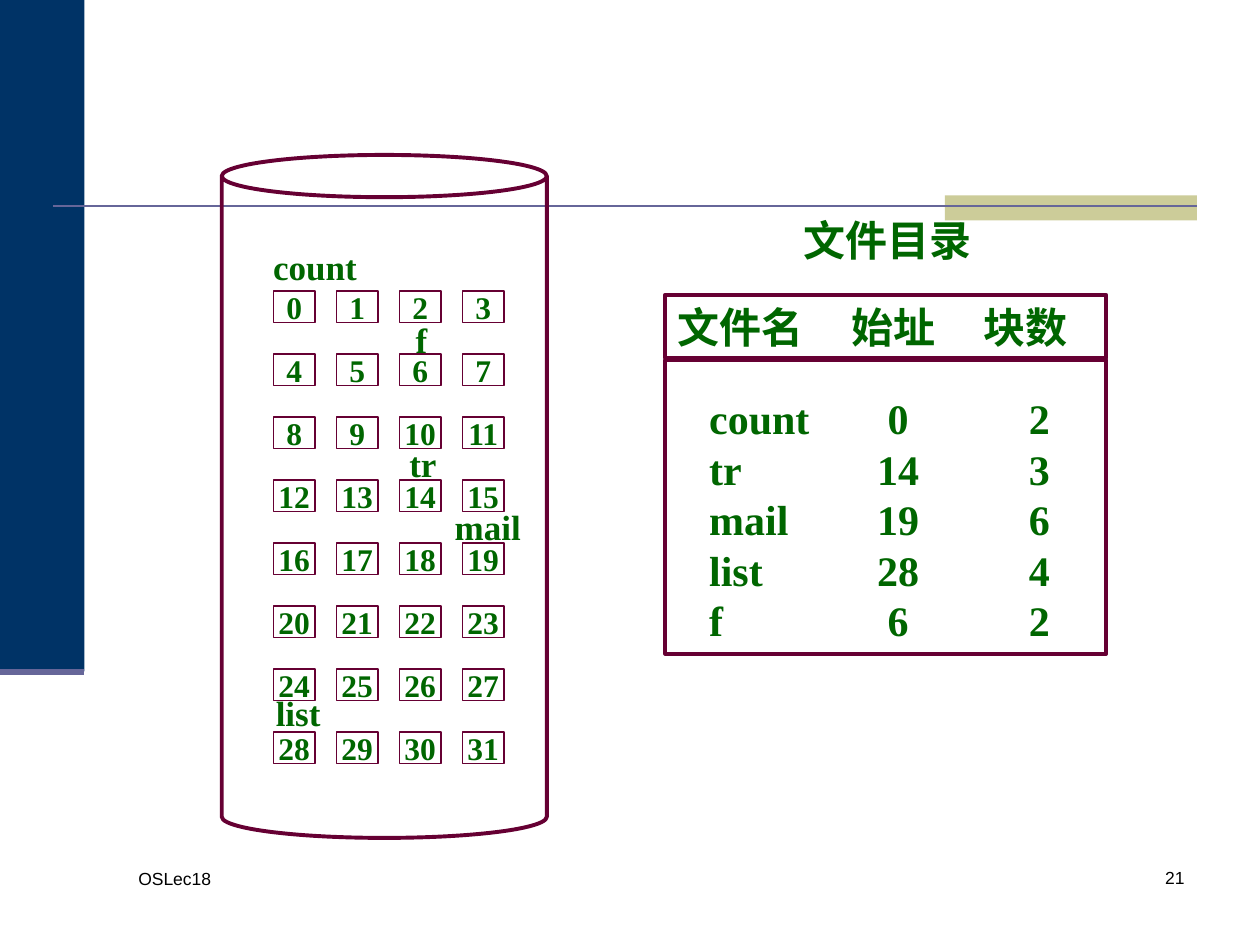
"""Build the slide on contiguous file allocation: a disk of blocks and its file directory."""
from dataclasses import dataclass

from lxml.etree import SubElement
from pptx import Presentation
from pptx.dml.color import RGBColor
from pptx.enum.shapes import MSO_CONNECTOR, MSO_SHAPE
from pptx.enum.text import MSO_ANCHOR, MSO_AUTO_SIZE, PP_ALIGN
from pptx.oxml.ns import qn
from pptx.util import Inches, Pt


@dataclass(frozen=True)
class Theme:
    navy: RGBColor = RGBColor.from_string("003366")
    khaki: RGBColor = RGBColor.from_string("CCCC99")
    violet: RGBColor = RGBColor.from_string("666699")
    plum: RGBColor = RGBColor.from_string("660033")
    green: RGBColor = RGBColor.from_string("006600")
    black: RGBColor = RGBColor.from_string("000000")
    serif: str = "Times New Roman"
    sans: str = "Arial"
    directory_size: int = 24
    label_size: int = 20
    block_size: int = 18
    footer_size: int = 10


theme = Theme()
deck = Presentation()
deck.slide_width, deck.slide_height = Inches(10), Inches(7.5)
COLUMN, ROW = deck.slide_width / 20, deck.slide_height / 15
page = deck.slides.add_slide(deck.slide_layouts[5])


def add_box(kind, left, top, width, height, fill=None, line_width=None):
    """Add a preset shape, or a text box if kind is None, measured in grid columns and rows."""
    area = [round(n) for n in (left * COLUMN, top * ROW, width * COLUMN, height * ROW)]
    if kind is None:
        return page.shapes.add_textbox(*area)
    box = page.shapes.add_shape(kind, *area)
    box.shadow.inherit = False
    if fill is None:
        box.fill.background()
    else:
        box.fill.solid()
        box.fill.fore_color.rgb = fill
    if line_width is None:
        box.line.fill.background()
    else:
        box.line.color.rgb = theme.plum
        box.line.width = Pt(line_width)
    return box


def write(box, lines, size, align=PP_ALIGN.LEFT, anchor=MSO_ANCHOR.TOP, wrap=True,
          family=theme.serif, color=theme.green, bold=True, tabs=(), spacing=None):
    """Fill a box with formatted paragraphs; tabs are (grid columns, alignment) pairs."""
    frame = box.text_frame
    frame.word_wrap, frame.vertical_anchor = wrap, anchor
    frame.auto_size = MSO_AUTO_SIZE.NONE
    frame.text = "\n".join(lines)
    for para in frame.paragraphs:
        if tabs:
            stops = SubElement(para._p.get_or_add_pPr(), qn("a:tabLst"))
            for position, side in tabs:
                SubElement(stops, qn("a:tab"), pos=str(round(position * COLUMN)), algn=side)
        para.alignment, para.line_spacing = align, spacing
        para.font.name, para.font.size, para.font.bold = family, Pt(size), bold
        para.font.color.rgb = color


add_box(MSO_SHAPE.RECTANGLE, 0, 0, 1.34, 10.66, fill=theme.navy)
add_box(MSO_SHAPE.RECTANGLE, 15, 3.1, 4, 0.4, fill=theme.khaki)
for start, end, level, weight in [(0.84, 19, 3.27, 1.5), (0, 1.34, 10.66, 3.5)]:
    rule = page.shapes.add_connector(
        MSO_CONNECTOR.STRAIGHT, round(start * COLUMN), round(level * ROW),
        round(end * COLUMN), round(level * ROW))
    rule.line.color.rgb, rule.line.width = theme.violet, Pt(weight)
    SubElement(rule._element.spPr, qn("a:effectLst"))

for left, top, width, words, align in [
    (2, 13.68, 4.34, "OSLec18", PP_ALIGN.LEFT),
    (14.84, 13.66, 4.16, "21", PP_ALIGN.RIGHT),
]:
    write(add_box(None, left, top, width, 1), [words], theme.footer_size, align,
          family=theme.sans, color=theme.black, bold=False)

for number in range(32):
    row, column = divmod(number, 4)
    block = add_box(MSO_SHAPE.RECTANGLE, 4.34 + column, 4.62 + row, 0.66, 0.5, line_width=0.75)
    write(block, [str(number)], theme.block_size, PP_ALIGN.CENTER, MSO_ANCHOR.MIDDLE, wrap=False)

disk = add_box(MSO_SHAPE.CAN, 3.52, 2.46, 5.16, 10.84, line_width=2.25)
disk.adjustments[0] = 0.13

header = add_box(MSO_SHAPE.RECTANGLE, 10.56, 4.68, 7, 1, line_width=2.25)
write(header, ["文件名\t始址\t块数"], theme.directory_size, anchor=MSO_ANCHOR.MIDDLE,
      tabs=[(2.76, "l"), (4.86, "l")])
add_box(MSO_SHAPE.RECTANGLE, 10.56, 5.72, 7, 4.66, line_width=2.25)
files = [("count", 0, 2), ("tr", 14, 3), ("mail", 19, 6), ("list", 28, 4), ("f", 6, 2)]
write(add_box(None, 11.06, 6.14, 5.96, 4.2),
      [f"{name}\t{first}\t{length}" for name, first, length in files],
      theme.directory_size, tabs=[(3, "ctr"), (5.24, "ctr")], spacing=Pt(28.8))

title = page.shapes.title
title.left, title.top = round(12.56 * COLUMN), round(3.3 * ROW)
title.width, title.height = round(3.4 * COLUMN), round(ROW)
write(title, ["文件目录"], theme.directory_size)

for name, left, top, width in [
    ("count", 4.14, 3.8, 1.88), ("f", 6.4, 4.96, 0.5), ("tr", 6.3, 6.92, 0.84),
    ("mail", 7.02, 7.92, 1.5), ("list", 4.18, 10.88, 1.5),
]:
    write(add_box(None, left, top, width, 0.88), [name], theme.label_size)

deck.save("out.pptx")
